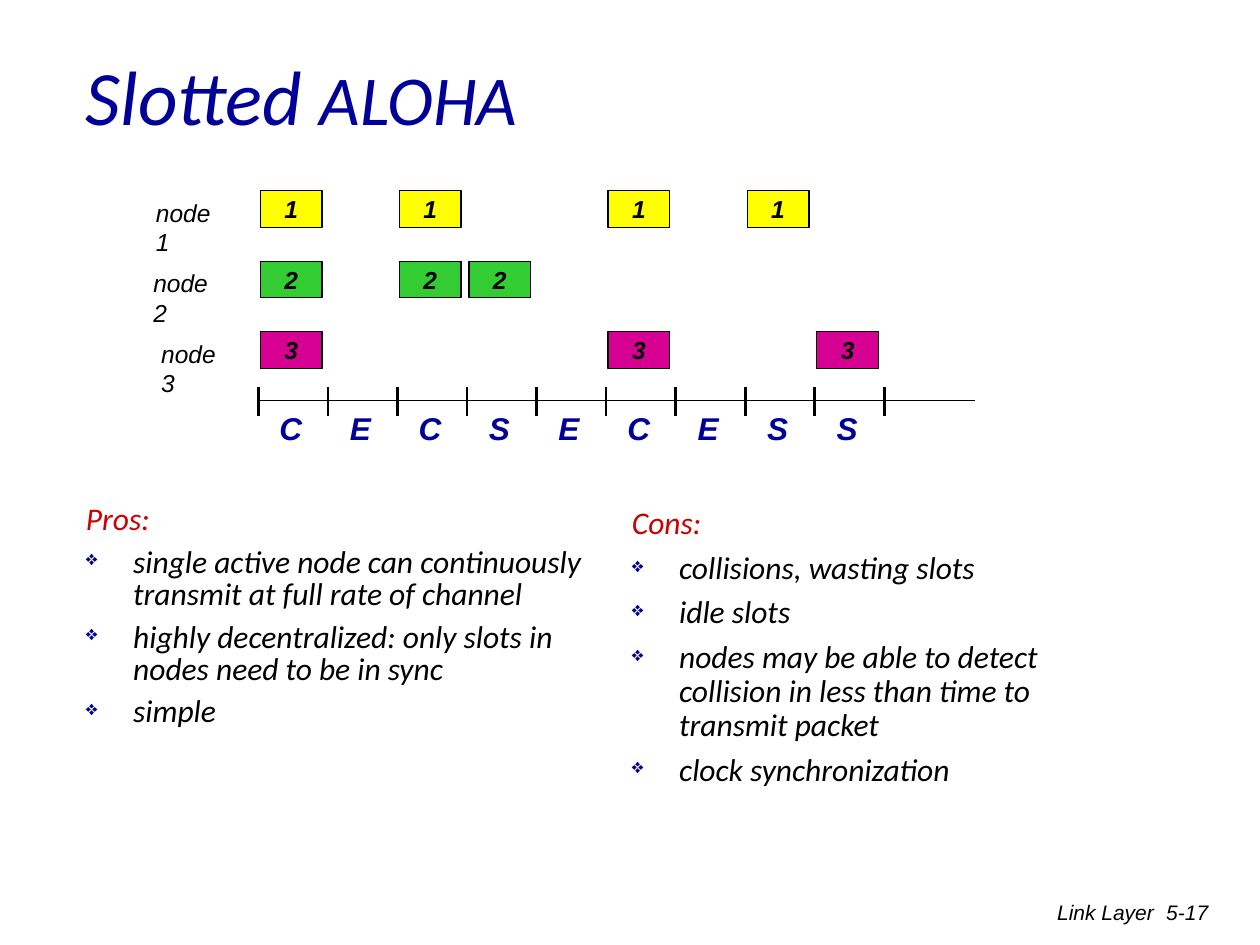
import dataclasses

import pptx
import pptx.dml.color
import pptx.enum.shapes
import pptx.enum.text
import pptx.oxml.ns
import pptx.util
from lxml import etree

Pt = pptx.util.Pt
Align = pptx.enum.text.PP_ALIGN
Anchor = pptx.enum.text.MSO_ANCHOR


@dataclasses.dataclass(frozen=True)
class Theme:
    ink: str = "000000"
    accent: str = "000099"
    heading: str = "CC0000"
    nodes: tuple = ("FFFF00", "33CC33", "D60093")
    title_font: str = "Calibri"
    label_font: str = "Arial"
    title_size: float = 44
    acronym_size: float = 40
    body_size: float = 18
    label_size: float = 14
    footer_size: float = 12
    thin: float = 0.75
    thick: float = 1.5


def color(value):
    return pptx.dml.color.RGBColor.from_string(value)


def apply(target, values):
    for name, value in values.items():
        setattr(target, name, value)


class SlideBuilder:
    def __init__(self, slide, theme):
        self.slide = slide
        self.theme = theme

    def add_text(self, paragraph, text, size, text_color, font, bold=False):
        """Add one italic run to a paragraph."""
        run = paragraph.add_run()
        run.text = text
        apply(run.font, {"size": Pt(size), "name": font, "italic": True, "bold": bold})
        run.font.color.rgb = color(text_color)

    def frame(self, left, top, width, height, wrap=True, anchor=Anchor.TOP):
        """Add an empty text box and return its text frame."""
        box = self.slide.shapes.add_textbox(Pt(left), Pt(top), Pt(width), Pt(height))
        apply(box.text_frame, {"word_wrap": wrap, "vertical_anchor": anchor})
        return box.text_frame

    def label(self, text, left, top, width, height, size,
              text_color=None, align=Align.LEFT, bold=False, wrap=False):
        paragraph = self.frame(left, top, width, height, wrap).paragraphs[0]
        paragraph.alignment = align
        self.add_text(paragraph, text, size, text_color or self.theme.ink,
                      self.theme.label_font, bold)

    def title(self, parts, left, top, width, height):
        text_frame = self.frame(left, top, width, height, anchor=Anchor.MIDDLE)
        for text, size in parts:
            self.add_text(text_frame.paragraphs[0], text, size,
                          self.theme.accent, self.theme.title_font)

    def packet(self, text, fill, left, top, width, height):
        shape = self.slide.shapes.add_shape(
            pptx.enum.shapes.MSO_SHAPE.RECTANGLE, Pt(left), Pt(top), Pt(width), Pt(height))
        shape.shadow.inherit = False
        shape.fill.solid()
        shape.fill.fore_color.rgb = color(fill)
        shape.line.color.rgb = color(self.theme.ink)
        shape.line.width = Pt(self.theme.thin)
        margins = ("margin_left", "margin_top", "margin_right", "margin_bottom")
        apply(shape.text_frame, dict.fromkeys(margins, 0))
        shape.text_frame.vertical_anchor = Anchor.MIDDLE
        paragraph = shape.text_frame.paragraphs[0]
        paragraph.alignment = Align.CENTER
        self.add_text(paragraph, text, self.theme.label_size, self.theme.ink,
                      self.theme.label_font, bold=True)

    def line(self, x1, y1, x2, y2, width):
        connector = self.slide.shapes.add_connector(
            pptx.enum.shapes.MSO_CONNECTOR.STRAIGHT, Pt(x1), Pt(y1), Pt(x2), Pt(y2))
        connector.line.color.rgb = color(self.theme.ink)
        connector.line.width = Pt(width)
        etree.SubElement(connector._element.spPr, pptx.oxml.ns.qn("a:effectLst"))

    def bullet(self, paragraph):
        qn = pptx.oxml.ns.qn
        properties = paragraph._p.get_or_add_pPr()
        properties.set("marL", str(Pt(27)))
        properties.set("indent", str(-Pt(27)))
        bullet_color = etree.SubElement(properties, qn("a:buClr"))
        etree.SubElement(bullet_color, qn("a:srgbClr"), val=self.theme.accent)
        etree.SubElement(properties, qn("a:buSzPct"), val="65000")
        etree.SubElement(properties, qn("a:buChar"), char="❖")

    def bullet_list(self, heading, items, left, top, spacing):
        text_frame = self.frame(left, top, 300, 252)
        paragraph = text_frame.paragraphs[0]
        paragraph.line_spacing = spacing
        self.add_text(paragraph, heading, self.theme.body_size,
                      self.theme.heading, self.theme.title_font)
        for item in items:
            paragraph = text_frame.add_paragraph()
            self.bullet(paragraph)
            apply(paragraph, {"line_spacing": spacing, "space_before": Pt(6)})
            self.add_text(paragraph, item, self.theme.body_size,
                          self.theme.ink, self.theme.title_font)


def draw_timeline(builder):
    theme = builder.theme
    axis_left, axis_right, axis_y = 147.6, 557.3, 229
    slot_width, slot_count = 39.75, 9
    row_top, row_gap = 109, 40.3

    # Nodes: label offset and the slots in which each one sends
    label_lefts = (82, 80.5, 85)
    sending = ((0, 2, 5, 7), (0, 2, 3), (0, 5, 8))
    for row, (label_left, slots) in enumerate(zip(label_lefts, sending)):
        top = row_top + row * row_gap
        name = str(row + 1)
        builder.label(f"node {name}", label_left, top + 0.5, 57, 24.5, theme.label_size)
        for slot in slots:
            builder.packet(name, theme.nodes[row],
                           axis_left + slot * slot_width + 1.1, top, 35.3, 20.9)

    # Time axis with slot boundaries
    builder.line(axis_left, axis_y, axis_right, axis_y, theme.thin)
    for boundary in range(slot_count + 1):
        x = axis_left + boundary * slot_width
        builder.line(x, axis_y - 8, x, axis_y + 8.5, theme.thick)

    # Slot outcome: empty, success or collision, by number of senders
    for slot in range(slot_count):
        senders = sum(slot in slots for slots in sending)
        builder.label("ESC"[min(senders, 2)], axis_left + slot * slot_width + 5,
                      axis_y + 1.2, 27, 29, theme.body_size, theme.accent,
                      Align.CENTER, bold=True)


def main():
    presentation = pptx.Presentation()
    apply(presentation, {"slide_width": Pt(720), "slide_height": Pt(540)})
    slide = presentation.slides.add_slide(presentation.slide_layouts[6])
    theme = Theme()
    builder = SlideBuilder(slide, theme)

    # Title
    builder.title((("Slotted ", theme.title_size), ("ALOHA", theme.acronym_size)),
                  42, 9, 390, 90)

    # Diagram
    draw_timeline(builder)

    # Pros and cons
    builder.bullet_list("Pros:", (
        "single active node can continuously transmit at full rate of channel",
        "highly decentralized: only slots in nodes need to be in sync",
        "simple",
    ), 42, 285, 0.85)
    builder.bullet_list("Cons:", (
        "collisions, wasting slots",
        "idle slots",
        "nodes may be able to detect collision in less than time to transmit packet",
        "clock synchronization",
    ), 354, 286.5, 0.9)

    # Footer
    for text, left, width in (("Link Layer", 438.5, 228), ("5-17", 644.5, 53)):
        builder.label(text, left, 510.5, width, 29, theme.footer_size,
                      align=Align.RIGHT, wrap=True)

    presentation.save("out.pptx")


if __name__ == "__main__":
    main()
